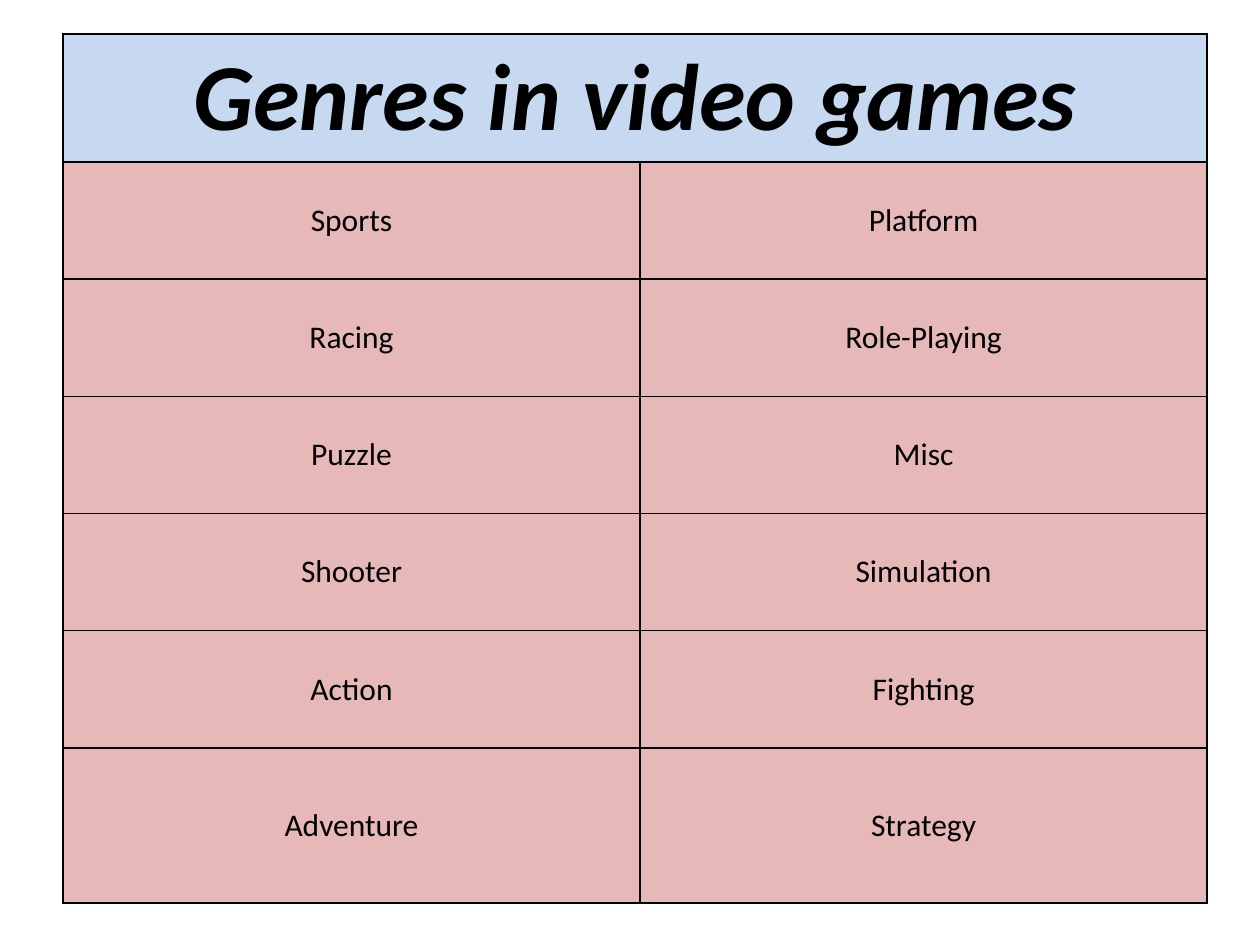
from dataclasses import dataclass

from lxml import etree
from pptx import Presentation
from pptx.dml.color import RGBColor
from pptx.enum.text import MSO_ANCHOR, PP_ALIGN
from pptx.oxml.ns import qn
from pptx.util import Inches, Pt

CENTER = PP_ALIGN.CENTER
MIDDLE = MSO_ANCHOR.MIDDLE

TITLE = "Genres in video games"
GENRES = [
    ("Sports", "Platform"),
    ("Racing", "Role-Playing"),
    ("Puzzle", "Misc"),
    ("Shooter", "Simulation"),
    ("Action", "Fighting"),
    ("Adventure", "Strategy"),
]
WIDTHS = [4.58, 4.5]
HEIGHTS = [0.93] * len(GENRES) + [1.23]


@dataclass(frozen=True)
class Theme:
    font: str = "Calibri"
    ink: str = "000000"
    head: str = "C6D9F1"
    body: str = "E6B9B8"
    title: int = 54
    text: int = 18
    rule: int = 1


class Deck:
    def __init__(self, theme):
        self.theme = theme
        self.file = Presentation()
        self.file.slide_width = Inches(10)
        self.file.slide_height = Inches(7.5)
        self.slide = self.file.slides.add_slide(self.file.slide_layouts[6])

    def border(self, cell):
        props = cell._tc.get_or_add_tcPr()
        for side in ("lnL", "lnR", "lnT", "lnB"):
            line = etree.SubElement(props, qn(f"a:{side}"), w=str(Pt(self.theme.rule)))
            fill = etree.SubElement(line, qn("a:solidFill"))
            etree.SubElement(fill, qn("a:srgbClr"), val=self.theme.ink)

    def paint(self, cell, color):
        self.border(cell)  # the schema wants borders ahead of the fill
        cell.fill.solid()
        cell.fill.fore_color.rgb = RGBColor.from_string(color)

    def label(self, cell, text, size, strong=False):
        cell.vertical_anchor = MIDDLE
        para = cell.text_frame.paragraphs[0]
        para.text = text
        para.alignment = CENTER
        font = para.font
        font.name = self.theme.font
        font.size = Pt(size)
        font.bold = font.italic = strong
        font.color.rgb = RGBColor.from_string(self.theme.ink)

    def table(self, left, top, title, rows, widths, heights):
        """Draw a table whose first row is one merged title cell."""
        theme = self.theme
        grid = self.slide.shapes.add_table(
            len(heights), len(widths), Inches(left), Inches(top),
            Inches(sum(widths)), Inches(sum(heights))).table
        grid.first_row = grid.horz_banding = False
        for col, width in zip(grid.columns, widths):
            col.width = Inches(width)
        for row, height in zip(grid.rows, heights):
            row.height = Inches(height)

        head = grid.cell(0, 0)
        head.merge(grid.cell(0, len(widths) - 1))
        for cell in grid.rows[0].cells:
            self.paint(cell, theme.head)
        self.label(head, title, theme.title, strong=True)

        for r, names in enumerate(rows, 1):
            for c, name in enumerate(names):
                cell = grid.cell(r, c)
                self.paint(cell, theme.body)
                self.label(cell, name, theme.text)


def main():
    deck = Deck(Theme())
    deck.table(0.5, 0.27, TITLE, GENRES, WIDTHS, HEIGHTS)
    deck.file.save("out.pptx")


if __name__ == "__main__":
    main()
